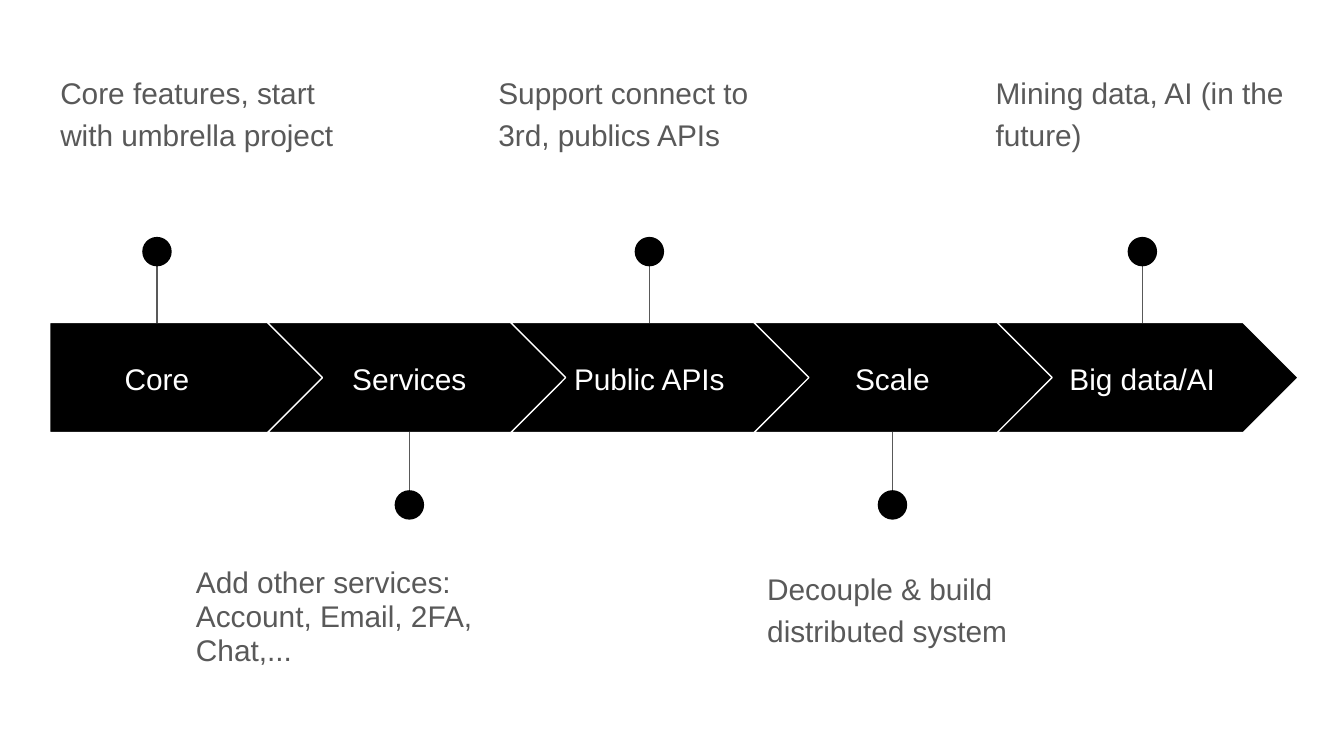
"""Build a five-step roadmap slide with pinned notes above and below a chevron band."""
from lxml import etree
from pptx import Presentation
from pptx.dml.color import RGBColor as Rgb
from pptx.enum import shapes as kinds, text as txt
from pptx.oxml.ns import qn
from pptx.util import Pt

# name, pin x, note x, note line spacing, note
STEPS = [
    ("Core", 84.1, 25.2, 1.15, "Core features, start with umbrella project"),
    ("Services", 219.3, 97.9, 0.95,
     "Add other services: Account, Email, 2FA, Chat,..."),
    ("Public APIs", 347.9, 259.9, 1.15, "Support connect to 3rd, publics APIs"),
    ("Scale", 478.1, 403.9, 1.15, "Decouple & build distributed system"),
    ("Big data/AI", 612, 526.3, 1.15, "Mining data, AI (in the future)"),
]
THEME = {
    "ink": Rgb(0, 0, 0),
    "paper": Rgb(255, 255, 255),
    "gray": Rgb(0x59, 0x59, 0x59),
    "font": "Arial",
    "size": Pt(16),
    "line": Pt(0.75),
}
BAND = {"top": 172.8, "high": 59, "left": 143.3, "step": 130.3, "wide": 161.3}
HEAD = {"left": 26.6, "wide": 147.6}
DOT = 15.8
SIDES = [
    {"dot": 126.9, "far": 129.6, "near": 173.2, "note": 30.2},
    {"dot": 262.6, "far": 275, "near": 231.4, "note": 295.9},
]


def assign(item, vals):
    for key, val in vals.items():
        setattr(item, key, val)


def shape(home, kind, box, edge=None):
    item = home.add_shape(kind, *map(Pt, box))
    item.shadow.inherit = False
    item.fill.solid()
    item.fill.fore_color.rgb = THEME["ink"]
    if edge is None:
        item.line.fill.background()
    else:
        item.line.color.rgb = edge
        item.line.width = THEME["line"]
    return item


def write(home, words, box, color, anchor, form):
    frame = home.add_textbox(*map(Pt, box)).text_frame
    sides = ("left", "right", "top", "bottom")
    assign(frame, {f"margin_{side}": Pt(7.2) for side in sides})
    assign(frame, {"word_wrap": True, "vertical_anchor": anchor})
    para = frame.paragraphs[0]
    assign(para, form)
    run = para.add_run()
    run.text = words
    assign(run.font, {"name": THEME["font"], "size": THEME["size"]})
    run.font.color.rgb = color


def pin(home, mid, side):
    group = home.add_group_shape().shapes
    stem = group.add_connector(
        kinds.MSO_CONNECTOR.STRAIGHT,
        *map(Pt, (mid, side["far"], mid, side["near"])))
    stem.line.color.rgb = THEME["gray"]
    stem.line.width = THEME["line"]
    etree.SubElement(stem._element.spPr, qn("a:effectLst"))
    shape(group, kinds.MSO_SHAPE.OVAL,
          (mid - DOT / 2, side["dot"], DOT, DOT))


def main():
    deck = Presentation()
    assign(deck, {"slide_width": Pt(720), "slide_height": Pt(405)})
    home = deck.slides.add_slide(deck.slide_layouts[6]).shapes
    for num, (name, mid, left, gap, note) in enumerate(STEPS):
        side = SIDES[num % 2]
        if num:
            kind = kinds.MSO_SHAPE.CHEVRON
            start, wide = BAND["left"] + (num - 1) * BAND["step"], BAND["wide"]
        else:
            kind = kinds.MSO_SHAPE.PENTAGON
            start, wide = HEAD["left"], HEAD["wide"]
        arrow = shape(home, kind, (start, BAND["top"], wide, BAND["high"]),
                      THEME["paper"])
        arrow.adjustments[0] = 0.5
        room = 103.7 if num else 114.5
        write(home, name, (mid - room / 2, 184.3, room, 36.7), THEME["paper"],
              txt.MSO_ANCHOR.MIDDLE, {"alignment": txt.PP_ALIGN.CENTER})
        pin(home, mid, side)
        write(home, note, (left, side["note"], 176.4, 71.3), THEME["gray"],
              txt.MSO_ANCHOR.TOP,
              {"line_spacing": gap, "space_after": Pt(12)})
    deck.save("out.pptx")


if __name__ == "__main__":
    main()
